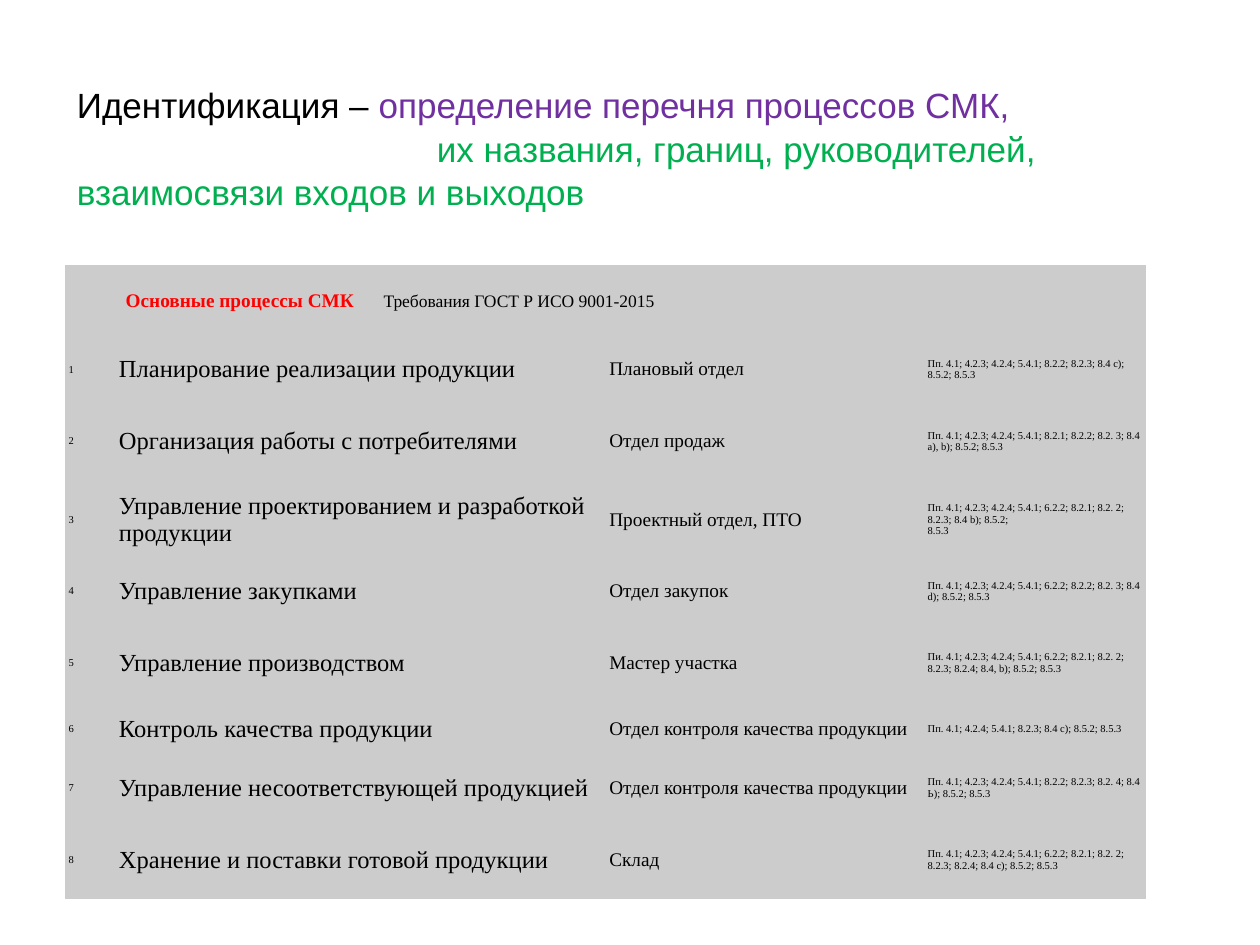
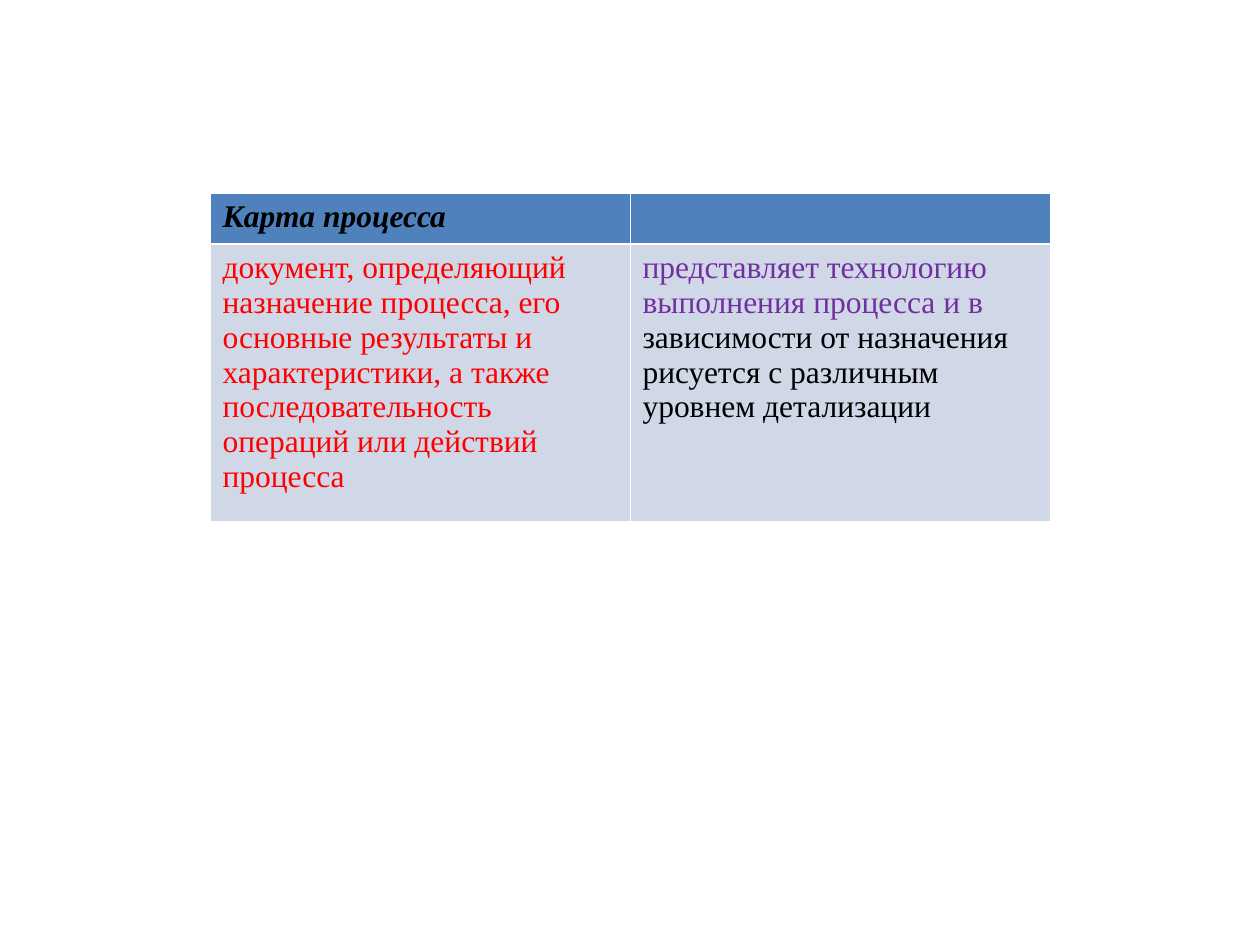
from dataclasses import dataclass

from lxml import etree
from pptx import Presentation
from pptx.dml.color import RGBColor
from pptx.enum.text import MSO_ANCHOR, MSO_AUTO_SIZE, PP_ALIGN
from pptx.oxml.ns import qn
from pptx.util import Pt

LEFT = PP_ALIGN.LEFT
TOP, MIDDLE = MSO_ANCHOR.TOP, MSO_ANCHOR.MIDDLE
NO_AUTOFIT = MSO_AUTO_SIZE.NONE
TITLE_ONLY, BLANK = 5, 6
PLAIN_TABLE = "{2D5ABB26-0587-4C30-8999-92F81FD0307C}"


@dataclass(frozen=True)
class Theme:
    black: str = "000000"
    white: str = "FFFFFF"
    red: str = "FF0000"
    purple: str = "7030A0"
    green: str = "00B050"
    grey: str = "CCCCCC"
    blue: str = "4F81BD"
    pale_blue: str = "D0D8E8"
    title_font: str = "Arial"
    table_font: str = "Times New Roman"
    title: int = 20
    card: int = 18
    process: int = 14
    department: int = 11
    standard: int = 10
    clause: int = 6


T = Theme()

PROCESSES = [
    ("Планирование реализации продукции", "Плановый отдел",
     "Пп. 4.1; 4.2.3; 4.2.4; 5.4.1; 8.2.2; 8.2.3; 8.4 с); 8.5.2; 8.5.3"),
    ("Организация работы с потребителями", "Отдел продаж",
     "Пп. 4.1; 4.2.3; 4.2.4; 5.4.1; 8.2.1; 8.2.2; 8.2. 3; 8.4 а), b); 8.5.2; 8.5.3"),
    ("Управление проектированием и разработкой продукции", "Проектный отдел, ПТО",
     "Пп. 4.1; 4.2.3; 4.2.4; 5.4.1; 6.2.2; 8.2.1; 8.2. 2; 8.2.3; 8.4 b); 8.5.2;\n8.5.3"),
    ("Управление закупками", "Отдел закупок",
     "Пп. 4.1; 4.2.3; 4.2.4; 5.4.1; 6.2.2; 8.2.2; 8.2. 3; 8.4 d); 8.5.2; 8.5.3"),
    ("Управление производством", "Мастер участка",
     "Пи. 4.1; 4.2.3; 4.2.4; 5.4.1; 6.2.2; 8.2.1; 8.2. 2; 8.2.3; 8.2.4; 8.4, b); 8.5.2; 8.5.3"),
    ("Контроль качества продукции", "Отдел контроля качества продукции",
     "Пп. 4.1; 4.2.4; 5.4.1; 8.2.3; 8.4 с); 8.5.2; 8.5.3"),
    ("Управление несоответствующей продукцией", "Отдел контроля качества продукции",
     "Пп. 4.1; 4.2.3; 4.2.4; 5.4.1; 8.2.2; 8.2.3; 8.2. 4; 8.4 Ь); 8.5.2; 8.5.3"),
    ("Хранение и поставки готовой продукции", "Склад",
     "Пп. 4.1; 4.2.3; 4.2.4; 5.4.1; 6.2.2; 8.2.1; 8.2. 2; 8.2.3; 8.2.4; 8.4 с); 8.5.2; 8.5.3"),
]


def add_text(p, text, size, color=T.black, font=T.table_font, bold=False, italic=False):
    r = p.add_run()
    r.text = text
    r.font.name = font
    r.font.size = Pt(size)
    r.font.bold = bold
    r.font.italic = italic
    r.font.color.rgb = RGBColor.from_string(color)


def indent_first_line(p, indent, tab=None):
    pPr = p._p.get_or_add_pPr()
    pPr.set("marL", "0")
    pPr.set("indent", str(Pt(indent)))
    if tab:
        tabs = etree.SubElement(pPr, qn("a:tabLst"))
        etree.SubElement(tabs, qn("a:tab"), pos=str(Pt(tab)), algn="l")


def add_table(slide, left, top, widths, heights):
    frame = slide.shapes.add_table(len(heights), len(widths), Pt(left), Pt(top),
                                   Pt(sum(widths)), Pt(sum(heights)))
    table = frame.table
    table.first_row = table.horz_banding = False
    table._tbl.tblPr.find(qn("a:tableStyleId")).text = PLAIN_TABLE
    for column, width in zip(table.columns, widths):
        column.width = Pt(width)
    for row, height in zip(table.rows, heights):
        row.height = Pt(height)
    return table


def set_borders(cell, color, **widths):
    tcPr = cell._tc.get_or_add_tcPr()
    for side, width in widths.items():
        ln = etree.SubElement(tcPr, qn(f"a:ln{side}"), w=str(Pt(width)))
        fill = etree.SubElement(ln, qn("a:solidFill"))
        etree.SubElement(fill, qn("a:srgbClr"), val=color)


def format_cell(cell, fill, margin=7.2, anchor=TOP):
    cell.fill.solid()
    cell.fill.fore_color.rgb = RGBColor.from_string(fill)
    cell.margin_left = cell.margin_right = Pt(margin)
    cell.margin_top = cell.margin_bottom = Pt(3.6)
    cell.vertical_anchor = anchor


def add_cell_text(cell, text, size):
    tf = cell.text_frame
    for i, line in enumerate(text.split("\n")):
        p = tf.add_paragraph() if i else tf.paragraphs[0]
        add_text(p, line, size)


def add_title(slide):
    s = slide.shapes.title
    s.left, s.top, s.width, s.height = Pt(36.7), Pt(43.2), Pt(642.2), Pt(407.5)
    tf = s.text_frame
    tf.word_wrap = True
    tf.auto_size = NO_AUTOFIT
    tf.vertical_anchor = TOP
    first, second = tf.paragraphs[0], tf.add_paragraph()
    indent_first_line(second, 205.7)
    for p in (first, second):
        p.alignment = LEFT
        p.line_spacing = 1.04
        p.space_before = Pt(0)
    add_text(first, "Идентификация – ", T.title, font=T.title_font)
    add_text(first, "определение перечня процессов СМК,", T.title, T.purple, T.title_font)
    add_text(second, "их названия, границ, руководителей, взаимосвязи входов и выходов",
             T.title, T.green, T.title_font)


def add_process_table(slide):
    low, mid, high = 30.3, 37.5, 44.7
    table = add_table(slide, 37, 151.2, [28.8, 280.2, 182, 127],
                      [41.2, mid, high, high, mid, high, low, mid, high])
    for cell in table.iter_cells():
        format_cell(cell, T.grey, margin=2.2, anchor=MIDDLE)
    header = table.cell(0, 0)
    header.merge(table.cell(0, 3))
    p = header.text_frame.paragraphs[0]
    indent_first_line(p, 32.6, tab=439.4)
    add_text(p, "Основные процессы СМК\t", T.department, T.red, bold=True)
    add_text(p, "Требования ГОСТ Р ИСО 9001-2015", T.standard)
    sizes = (T.clause, T.process, T.department, T.clause)
    for row, process in enumerate(PROCESSES, 1):
        for col, (text, size) in enumerate(zip((str(row), *process), sizes)):
            add_cell_text(table.cell(row, col), text, size)


def add_process_card(slide):
    table = add_table(slide, 120, 110.2, [240, 240], [29.2, 158.4])
    thin, thick = 0.45, 1.47
    rows = ((T.blue, thin, thick), (T.pale_blue, thick, thin))
    for row, (fill, top, bottom) in enumerate(rows):
        for col in range(2):
            cell = table.cell(row, col)
            set_borders(cell, T.white, L=thin, R=thin, T=top, B=bottom)
            format_cell(cell, fill)
    heading, meaning, purpose = (table.cell(row, col).text_frame.paragraphs[0]
                                 for row, col in ((0, 0), (1, 0), (1, 1)))
    add_text(heading, "Карта процесса", T.card, bold=True, italic=True)
    add_text(meaning, "документ, определяющий назначение процесса, его основные результаты "
             "и характеристики, а также последовательность операций или действий процесса",
             T.card, T.red)
    add_text(purpose, "представляет технологию выполнения процесса и в", T.card, T.purple)
    add_text(purpose, " зависимости от назначения рисуется с различным уровнем детализации",
             T.card)


def main():
    prs = Presentation()
    prs.slide_width, prs.slide_height = Pt(720), Pt(540)
    slide = prs.slides.add_slide(prs.slide_layouts[TITLE_ONLY])
    add_title(slide)
    add_process_table(slide)
    add_process_card(prs.slides.add_slide(prs.slide_layouts[BLANK]))
    prs.save("out.pptx")


if __name__ == "__main__":
    main()
